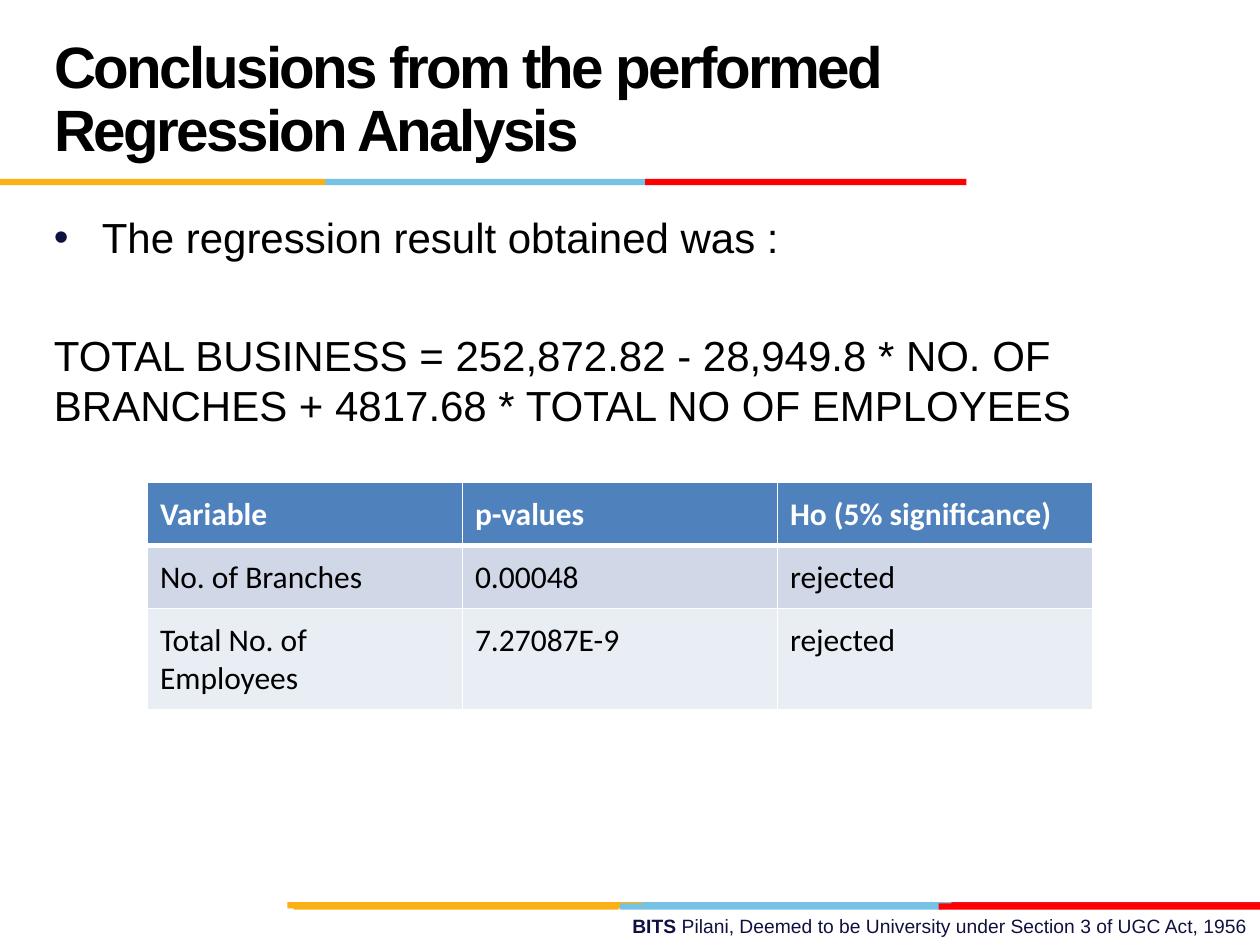
from pptx import Presentation
from pptx.dml.color import RGBColor
from pptx.enum.shapes import MSO_SHAPE
from pptx.enum.text import MSO_ANCHOR, PP_ALIGN
from pptx.oxml.ns import qn
from pptx.util import Inches, Pt
from lxml.etree import SubElement

COLORS = {
    "black": "000000", "white": "FFFFFF", "navy": "101141",
    "yellow": "FCB017", "sky": "76C2E5", "crimson": "E31C24", "red": "FF0000",
    "header": "4F81BD", "band": "D0D8E8", "pale": "E9EDF4",
}


def color(name):
    return RGBColor.from_string(COLORS[name])


def add_span(para, text, size, ink="black", bold=False, font="Arial"):
    span = para.add_run()
    span.text = text
    span.font.name = font
    span.font.size = Pt(size)
    span.font.bold = bold
    span.font.color.rgb = color(ink)
    return span


def place_title(page, left, top, width, height):
    title = page.shapes.title
    title.left, title.top = Inches(left), Inches(top)
    title.width, title.height = Inches(width), Inches(height)
    frame = title.text_frame
    frame.word_wrap = True
    frame.vertical_anchor = MSO_ANCHOR.MIDDLE
    para = frame.paragraphs[0]
    para.alignment = PP_ALIGN.LEFT
    para.line_spacing = Pt(36)
    span = add_span(para, "Conclusions from the performed Regression Analysis", 33.3, bold=True)
    span.font._element.set("spc", "-150")


def add_stripe(page, left, top, segments):
    for fill, offset, width in segments:
        bar = page.shapes.add_shape(MSO_SHAPE.RECTANGLE, Inches(left + offset), Inches(top),
                                    Inches(width), Inches(0.05))
        bar.shadow.inherit = False
        bar.fill.solid()
        bar.fill.fore_color.rgb = color(fill)
        bar.line.fill.background()


def add_body(page, left, top, width, height):
    box = page.shapes.add_textbox(Inches(left), Inches(top), Inches(width), Inches(height))
    frame = box.text_frame
    frame.word_wrap = True
    point = frame.paragraphs[0]
    props = point._p.get_or_add_pPr()
    props.set("marL", str(Inches(0.38)))
    props.set("indent", str(-Inches(0.38)))
    tint = SubElement(props, qn("a:buClr"))
    SubElement(tint, qn("a:srgbClr")).set("val", COLORS["navy"])
    SubElement(props, qn("a:buFont")).set("typeface", "Arial")
    SubElement(props, qn("a:buChar")).set("char", "•")
    add_span(point, "The regression result obtained was :", 24)
    formula = frame.add_paragraph()
    formula.space_before = Pt(38)
    add_span(formula, "TOTAL BUSINESS = 252,872.82 - 28,949.8 * NO. OF BRANCHES"
                      " + 4817.68 * TOTAL NO OF EMPLOYEES", 24)
    for para in frame.paragraphs:
        para.line_spacing = Pt(29)


def set_borders(cell, bottom, top):
    props = cell._tc.get_or_add_tcPr()
    widths = {"a:lnL": 1, "a:lnR": 1, "a:lnT": top, "a:lnB": bottom}
    for index, (tag, width) in enumerate(widths.items()):
        line = props.makeelement(qn(tag), {"w": str(Pt(width))})
        fill = SubElement(line, qn("a:solidFill"))
        SubElement(fill, qn("a:srgbClr")).set("val", COLORS["white"])
        props.insert(index, line)


def add_results(page, left, top, width, heights):
    rows = [
        ("Variable", "p-values", "Ho (5% significance)"),
        ("No. of Branches", "0.00048", "rejected"),
        ("Total No. of Employees", "7.27087E-9", "rejected"),
    ]
    fills = ["header", "band", "pale"]
    table = page.shapes.add_table(len(rows), len(rows[0]), Inches(left), Inches(top),
                                  Inches(width), Inches(sum(heights))).table
    for row, (texts, fill) in enumerate(zip(rows, fills)):
        table.rows[row].height = Inches(heights[row])
        heading = row == 0
        for column, text in enumerate(texts):
            cell = table.cell(row, column)
            cell.margin_left = cell.margin_right = Inches(0.1)
            cell.margin_top = cell.margin_bottom = Inches(0.1)
            cell.fill.solid()
            cell.fill.fore_color.rgb = color(fill)
            set_borders(cell, bottom=3 if heading else 1, top=3 if row == 1 else 1)
            add_span(cell.text_frame.paragraphs[0], text, 18,
                     "white" if heading else "black", heading, "Calibri")


def add_footer(page, left, top, width, height):
    box = page.shapes.add_textbox(Inches(left), Inches(top), Inches(width), Inches(height))
    box.text_frame.word_wrap = True
    para = box.text_frame.paragraphs[0]
    para.alignment = PP_ALIGN.RIGHT
    add_span(para, "BITS ", 11, "navy", True)
    add_span(para, "Pilani, Deemed to be University under Section 3 of UGC Act, 1956", 11, "navy")


def main():
    deck = Presentation()
    deck.slide_width, deck.slide_height = Inches(10), Inches(7.5)
    page = deck.slides.add_slide(deck.slide_layouts[5])
    add_footer(page, 3.58, 7.21, 6.42, 0.29)
    add_stripe(page, 2.28, 7.16, [("sky", 2.78, 2.55), ("crimson", 5.27, 2.45), ("yellow", 0, 2.82)])
    add_stripe(page, 2.33, 7.17, [("sky", 2.59, 2.55), ("yellow", 0, 2.58), ("red", 5.12, 2.55)])
    add_stripe(page, 0, 1.42, [("sky", 2.58, 2.55), ("yellow", 0, 2.58), ("red", 5.12, 2.55)])
    add_body(page, 0.33, 1.63, 8.92, 4.45)
    place_title(page, 0.33, 0.17, 6.92, 1.25)
    add_results(page, 1.17, 3.83, 7.5, [0.5, 0.5, 0.8])
    deck.save("out.pptx")


if __name__ == "__main__":
    main()
